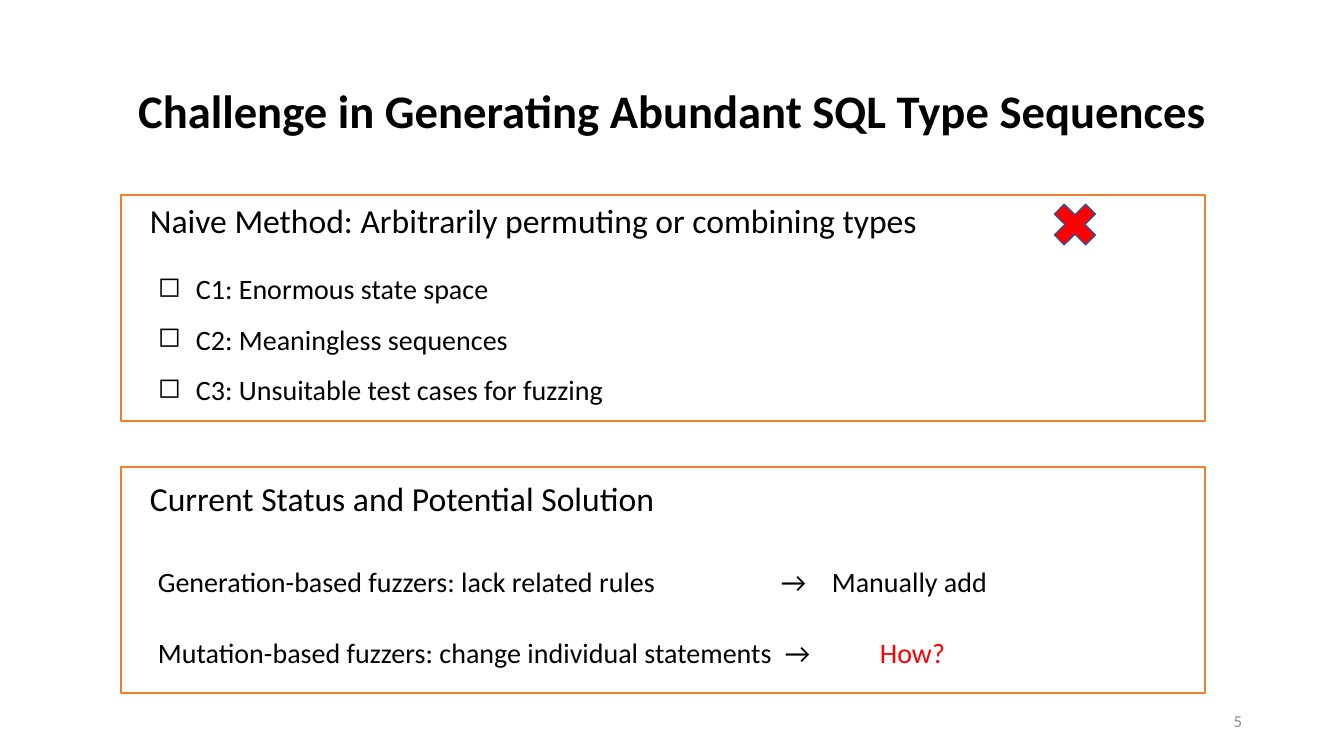
from pptx import Presentation, util as u
from pptx.dml.color import RGBColor
from pptx.enum import shapes, text
from pptx.oxml.ns import qn
from lxml import etree

PX = 914400 / 100.8
THEME = {
    "font": "Calibri", "ink": "000000", "grey": "8C8C8C", "red": "FF0000",
    "frame": "ED7D31", "edge": "325491",
    "title": 33.3, "head": 24, "body": 20, "page": 12,
}


def px(*vals):
    """Turn pixel lengths into EMU."""
    return [u.Emu(round(v * PX)) for v in vals]


def write(box, lines, size, ink="ink", bold=False):
    """Add a text box, one paragraph a line, and return its frame."""
    frame = slide.shapes.add_textbox(*px(*box)).text_frame
    frame.word_wrap = True
    frame.text = "\n".join(lines)
    for para in frame.paragraphs:
        for run in para.runs:
            run.font.name = THEME["font"]
            run.font.size = u.Pt(THEME[size])
            run.font.bold = bold
            run.font.color.rgb = RGBColor.from_string(THEME[ink])
    return frame


deck = Presentation()
deck.slide_width, deck.slide_height = px(1344, 756)
slide = deck.slides.add_slide(deck.slide_layouts[6])

# Title
title = write((93, 52, 1159, 92),
              ["Challenge in Generating Abundant SQL Type Sequences"],
              "title", bold=True)
title.vertical_anchor = text.MSO_ANCHOR.BOTTOM
title.paragraphs[0].alignment = text.PP_ALIGN.CENTER
title.paragraphs[0].line_spacing = 0.9

# Headings
write((140, 195, 833, 50),
      ["Naive Method: Arbitrarily permuting or combining types"], "head")
write((140, 473, 833, 50), ["Current Status and Potential Solution"], "head")

# Challenges
goals = write((148, 250, 569, 197), [
    "C1: Enormous state space",
    "C2: Meaningless sequences",
    "C3: Unsuitable test cases for fuzzing",
], "body")
indent = px(38)[0]
for para in goals.paragraphs:
    props = para._p.get_or_add_pPr()
    props.set("marL", str(indent))
    props.set("indent", str(-indent))
    etree.SubElement(props, qn("a:buChar")).set("char", "◻")
    para.line_spacing = 1.5

# Fuzzers: top, claim, answer, colour of the answer, tab stops
fuzzers = [
    (560, "Generation-based fuzzers: lack related rules",
     "Manually add", "ink", (623, 674)),
    (631, "Mutation-based fuzzers: change individual statements",
     "How?", "red", (627, 722)),
]
for top, claim, answer, ink, stops in fuzzers:
    para = write((148, top, 1000, 44), [f"{claim}\t→\t"], "body").paragraphs[0]
    tabs = etree.SubElement(para._p.get_or_add_pPr(), qn("a:tabLst"))
    for stop in px(*stops):
        etree.SubElement(tabs, qn("a:tab"), pos=str(stop), algn="l")
    run = para.add_run()
    run.text = answer
    run.font.name = THEME["font"]
    run.font.size = u.Pt(THEME["body"])
    run.font.color.rgb = RGBColor.from_string(THEME[ink])

# Cross and frames
kinds = shapes.MSO_SHAPE
marks = [
    (kinds.MATH_MULTIPLY, (1045, 195, 60, 59), "red", "edge"),
    (kinds.RECTANGLE, (121, 195, 1084, 226), None, "frame"),
    (kinds.RECTANGLE, (121, 467, 1084, 226), None, "frame"),
]
for kind, box, fill, edge in marks:
    mark = slide.shapes.add_shape(kind, *px(*box))
    mark.shadow.inherit = False
    if fill:
        mark.fill.solid()
        mark.fill.fore_color.rgb = RGBColor.from_string(THEME[fill])
    else:
        mark.fill.background()
    mark.line.color.rgb = RGBColor.from_string(THEME[edge])
    mark.line.width = u.Pt(1)

# Page number
page = write((950, 701, 302, 40), ["5"], "page", "grey")
page.vertical_anchor = text.MSO_ANCHOR.MIDDLE
page.paragraphs[0].alignment = text.PP_ALIGN.RIGHT

deck.save("out.pptx")
